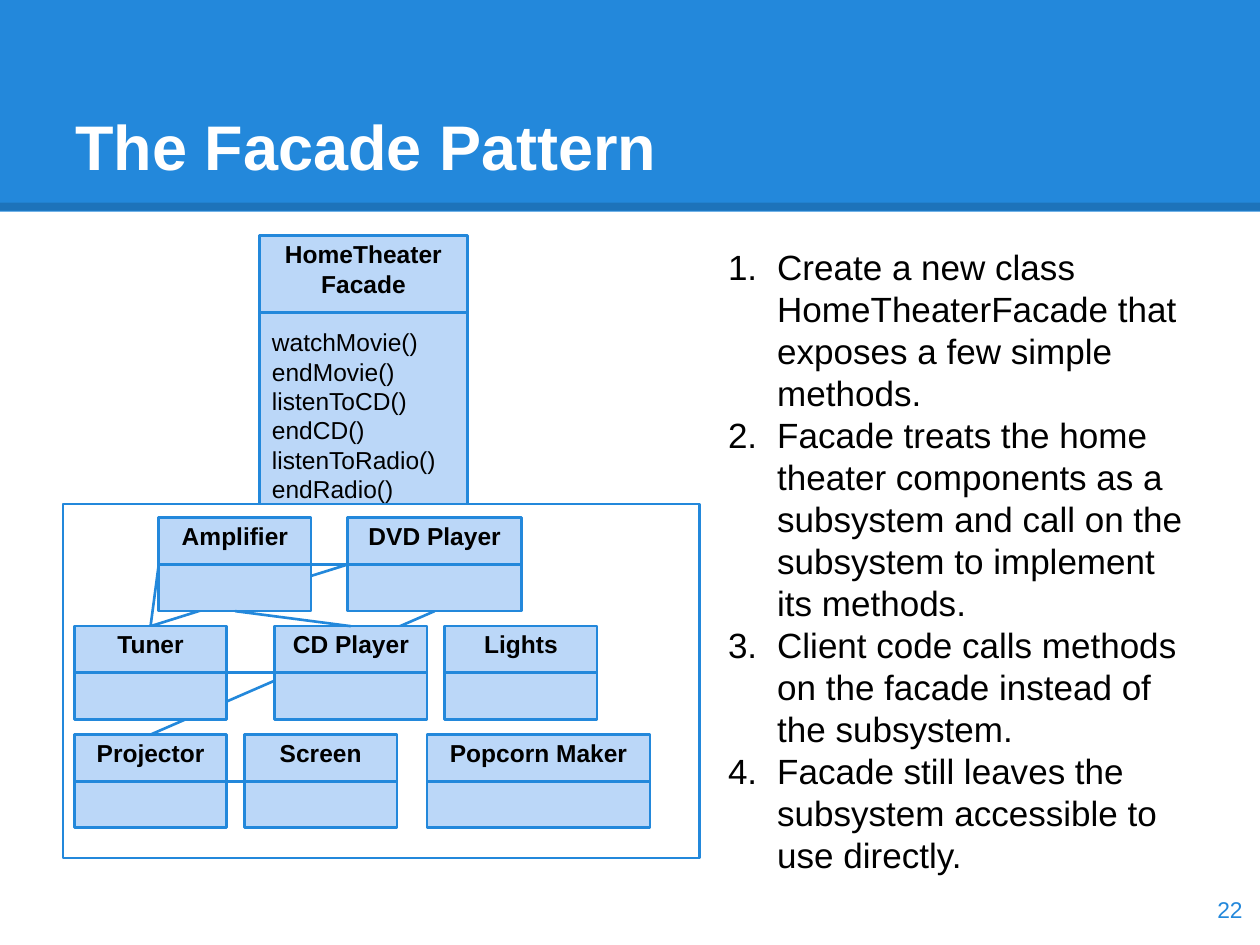
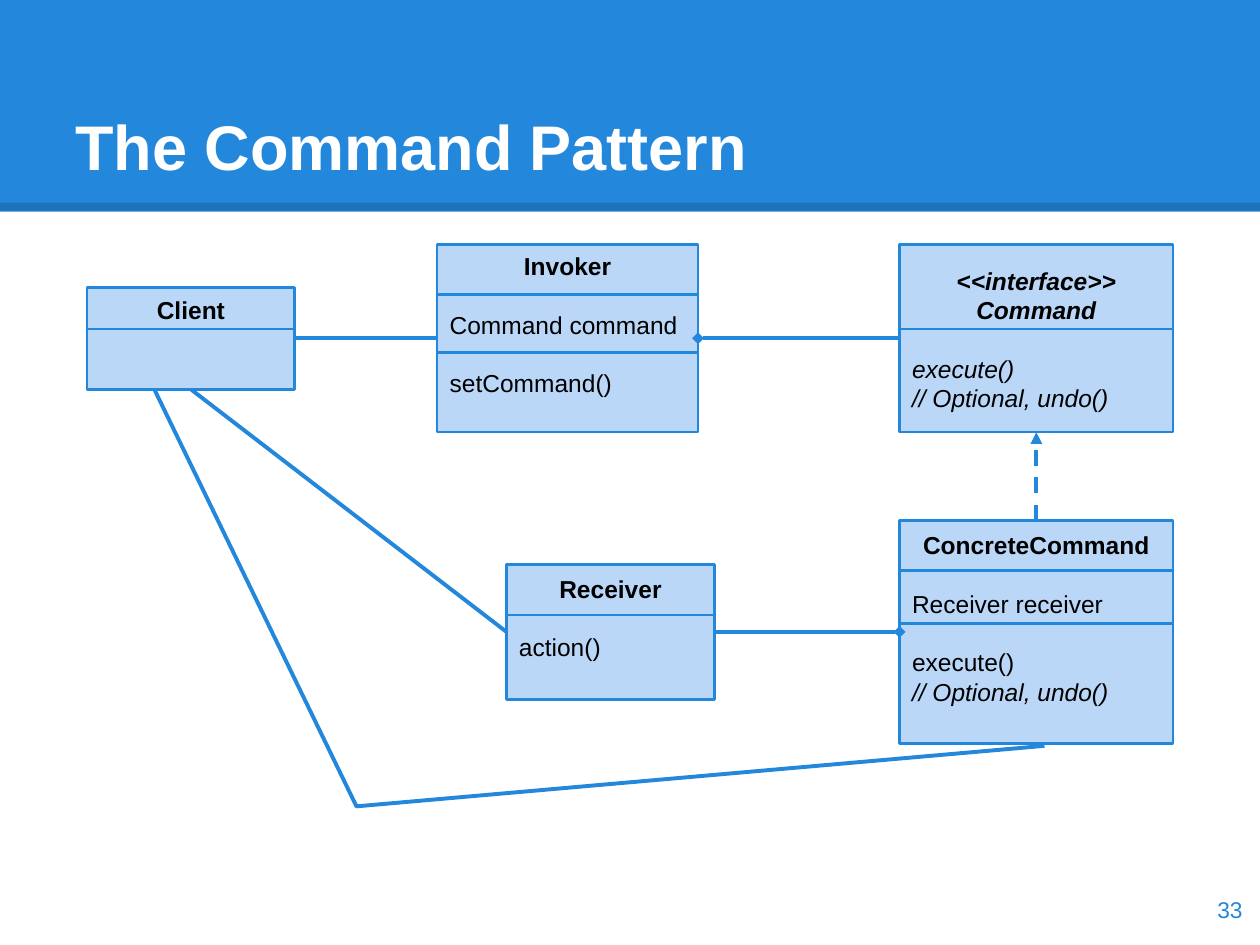
from lxml import etree
from pptx import Presentation
from pptx.dml.color import RGBColor
from pptx.enum.dml import MSO_LINE
from pptx.enum.shapes import MSO_CONNECTOR, MSO_SHAPE
from pptx.enum.text import MSO_ANCHOR as ANCHOR, PP_ALIGN as ALIGN
from pptx.oxml.ns import qn
from pptx.util import Inches, Pt

BLUE = RGBColor(0x23, 0x88, 0xDB)
PALE = RGBColor(0xBB, 0xD7, 0xF8)
WHITE = RGBColor(0xFF, 0xFF, 0xFF)
BLACK = RGBColor(0x00, 0x00, 0x00)
FONT = "Arial"
TOP, LEFT, BOTTOM, RIGHT = range(4)
ROW = 0.23


def add_text(frame, text, size=14, color=BLACK, bold=False, italic=False,
             align=ALIGN.LEFT, before=0, numbered=False):
    """Add one formatted paragraph to a text frame."""
    first = frame.paragraphs[0]
    paragraph = frame.add_paragraph() if first.runs else first
    paragraph.alignment = align
    paragraph.space_before = Pt(before)
    if numbered:
        properties = paragraph._p.get_or_add_pPr()
        properties.set("marL", str(Inches(0.5)))
        properties.set("indent", str(Inches(-0.39)))
        etree.SubElement(properties, qn("a:buFont"), typeface=FONT)
        etree.SubElement(properties, qn("a:buAutoNum"), type="arabicPeriod")
    run = paragraph.add_run()
    run.text = text
    font = run.font
    font.name, font.size, font.color.rgb = FONT, Pt(size), color
    font.bold, font.italic = bold, italic


class PatternDeck:
    """Hold the shared style and the current slide."""

    def __init__(self):
        """Start an empty 10 by 7.5 inch presentation."""
        self.presentation = Presentation()
        self.presentation.slide_width = Inches(10)
        self.presentation.slide_height = Inches(7.5)
        self.shapes = None

    def start_slide(self, title, number):
        """Add a slide with its band, title and page number."""
        layout = self.presentation.slide_layouts[6]
        self.shapes = self.presentation.slides.add_slide(layout).shapes
        self.rectangle(0, 0, 10, 1.68, fill=BLUE, outlined=False)
        edge = self.line((0, 1.64), (10, 1.64), width=4.5, color=BLACK)
        tint = next(edge.line._ln.iter(qn("a:srgbClr")))
        etree.SubElement(tint, qn("a:alpha"), val="15000")
        heading = self.text_box(0.5, 0.3, 9, 1.25, ANCHOR.BOTTOM)
        add_text(heading, title, size=36, color=WHITE, bold=True)
        page = self.text_box(9.36, 6.93, 0.6, 0.57, ANCHOR.MIDDLE)
        add_text(page, number, size=13, color=BLUE, align=ALIGN.RIGHT)

    def prepare(self, frame, anchor):
        """Set wrapping, insets and anchor of a text frame."""
        frame.word_wrap = True
        frame.vertical_anchor = anchor
        frame.margin_left = frame.margin_right = Inches(0.1)
        frame.margin_top = frame.margin_bottom = Inches(0.1)
        return frame

    def text_box(self, x, y, width, height, anchor=ANCHOR.TOP):
        """Add a text box and return its frame."""
        box = self.shapes.add_textbox(Inches(x), Inches(y), Inches(width), Inches(height))
        return self.prepare(box.text_frame, anchor)

    def rectangle(self, x, y, width, height, fill=None, outlined=True):
        """Add a rectangle with an optional fill and outline."""
        shape = self.shapes.add_shape(MSO_SHAPE.RECTANGLE, Inches(x), Inches(y),
                                      Inches(width), Inches(height))
        shape.shadow.inherit = False
        if fill is None:
            shape.fill.background()
        else:
            shape.fill.solid()
            shape.fill.fore_color.rgb = fill
        if outlined:
            shape.line.color.rgb = BLUE
            shape.line.width = Pt(1.5)
        else:
            shape.line.fill.background()
        return shape

    def line(self, start=(0, 0), end=(0, 0), width=1.5, color=BLUE, dash=None, tail=None):
        """Add a straight line, optionally dashed or with an end mark."""
        points = [Inches(value) for value in (*start, *end)]
        link = self.shapes.add_connector(MSO_CONNECTOR.STRAIGHT, *points)
        etree.SubElement(link._element.spPr, qn("a:effectLst"))
        link.line.color.rgb = color
        link.line.width = Pt(width)
        if dash:
            link.line.dash_style = dash
        if tail:
            etree.SubElement(link.line._ln, qn("a:tailEnd"), type=tail)
        return link

    def join(self, source, source_side, target, target_side, behind=None, **style):
        """Connect two shapes, optionally placing the line behind another."""
        link = self.line(**style)
        link.begin_connect(source, source_side)
        link.end_connect(target, target_side)
        if behind is not None:
            behind._element.addprevious(link._element)

    def polyline(self, start, *corners):
        """Draw an open path through the given points."""
        builder = self.shapes.build_freeform(Inches(start[0]), Inches(start[1]))
        builder.add_line_segments([(Inches(x), Inches(y)) for x, y in corners], close=False)
        outline = builder.convert_to_shape()
        outline.shadow.inherit = False
        outline.fill.background()
        outline.line.color.rgb = BLUE
        outline.line.width = Pt(2.25)

    def class_box(self, x, y, width, height, names, sections=(), rows=3,
                  dividers=(), abstract=False):
        """Add a UML class whose text block of some rows is centred."""
        box = self.rectangle(x, y, width, height, PALE)
        frame = self.prepare(box.text_frame, ANCHOR.TOP)
        frame.margin_top = Inches(max(0, (height - rows * ROW) / 2))
        frame.margin_bottom = 0
        for name in names:
            add_text(frame, name, bold=True, italic=abstract, align=ALIGN.CENTER)
        for members in sections:
            for index, member in enumerate(members):
                add_text(frame, member, before=0 if index else ROW * 72,
                         italic=abstract or member.startswith("//"))
        for level in dividers:
            self.line((x, level), (x + width, level))
        if not dividers:
            self.join(box, LEFT, box, RIGHT)
        return box


def facade_slide(deck):
    """Build the facade diagram and its steps."""
    deck.start_slide("The Facade Pattern", "22")
    subsystem = deck.rectangle(0.5, 4, 5.05, 2.81)
    deck.class_box(2.06, 1.87, 1.65, 2.13, ["HomeTheater", "Facade"],
                   [["watchMovie()", "endMovie()", "listenToCD()", "endCD()",
                     "listenToRadio()", "endRadio()"]], rows=9, dividers=[2.48])
    components = [
        [("Amplifier", 1.26, 1.21), ("DVD Player", 2.76, 1.38)],
        [("Tuner", 0.59, 1.21), ("CD Player", 2.18, 1.21), ("Lights", 3.53, 1.21)],
        [("Projector", 0.59, 1.21), ("Screen", 1.94, 1.21), ("Popcorn Maker", 3.39, 1.77)],
    ]
    parts = {name: deck.class_box(x, 4.11 + 0.86 * tier, width, 0.74, [name])
             for tier, members in enumerate(components)
             for name, x, width in members}
    for source, source_side, target, target_side, behind in [
        ("DVD Player", LEFT, "Tuner", TOP, subsystem),
        ("DVD Player", BOTTOM, "Projector", TOP, subsystem),
        ("Amplifier", RIGHT, "DVD Player", LEFT, None),
        ("CD Player", TOP, "Amplifier", BOTTOM, None),
        ("Screen", LEFT, "Projector", RIGHT, None),
        ("Amplifier", LEFT, "Tuner", TOP, None),
        ("CD Player", LEFT, "Tuner", RIGHT, None),
    ]:
        deck.join(parts[source], source_side, parts[target], target_side, behind)
    steps = deck.text_box(5.57, 1.85, 3.93, 5.22)
    for step in [
        "Create a new class HomeTheaterFacade that exposes a few simple methods.",
        "Facade treats the home theater components as a subsystem and call on the "
        "subsystem to implement its methods.",
        "Client code calls methods on the facade instead of the subsystem.",
        "Facade still leaves the subsystem accessible to use directly.",
    ]:
        add_text(steps, step, size=20, numbered=True)


def command_slide(deck):
    """Build the command class diagram."""
    deck.start_slide("The Command Pattern", "33")
    deck.polyline((8.29, 5.92), (2.83, 6.4), (1.23, 3.1))
    client = deck.class_box(0.69, 2.28, 1.65, 0.81, ["Client"], dividers=[2.61])
    command = deck.class_box(7.14, 1.94, 2.17, 1.49, ["<<interface>> Command"],
                             [["execute()", "// Optional, undo()"]],
                             rows=5, dividers=[2.61], abstract=True)
    invoker = deck.class_box(3.47, 1.94, 2.07, 1.49, ["Invoker"],
                             [["Command command"], ["setCommand()"]],
                             rows=6, dividers=[2.34, 2.8])
    receiver = deck.class_box(4.02, 4.48, 1.65, 1.07, ["Receiver"], [["action()"]],
                              rows=4, dividers=[4.88])
    concrete = deck.class_box(7.14, 4.13, 2.17, 1.77, ["ConcreteCommand"],
                              [["Receiver receiver"], ["execute()", "// Optional, undo()"]],
                              rows=7, dividers=[4.53, 4.95])
    deck.join(concrete, TOP, command, BOTTOM, width=2.25, dash=MSO_LINE.DASH, tail="triangle")
    deck.join(command, LEFT, invoker, RIGHT, width=2.25, tail="diamond")
    deck.join(receiver, RIGHT, concrete, LEFT, width=2.25, tail="diamond")
    deck.join(client, BOTTOM, receiver, LEFT, width=2.25)
    deck.join(client, RIGHT, invoker, LEFT, width=2.25)


def main():
    """Build both slides and save them."""
    deck = PatternDeck()
    facade_slide(deck)
    command_slide(deck)
    deck.presentation.save("out.pptx")


if __name__ == "__main__":
    main()
